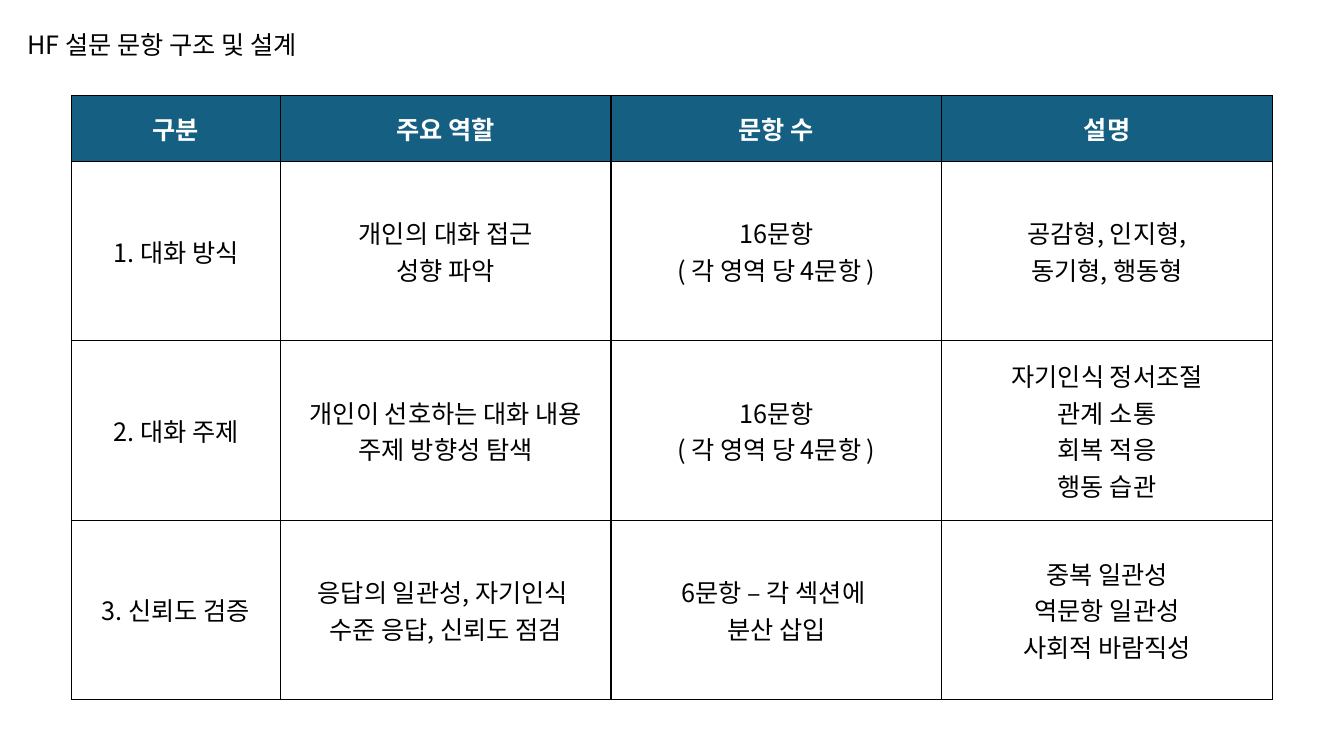
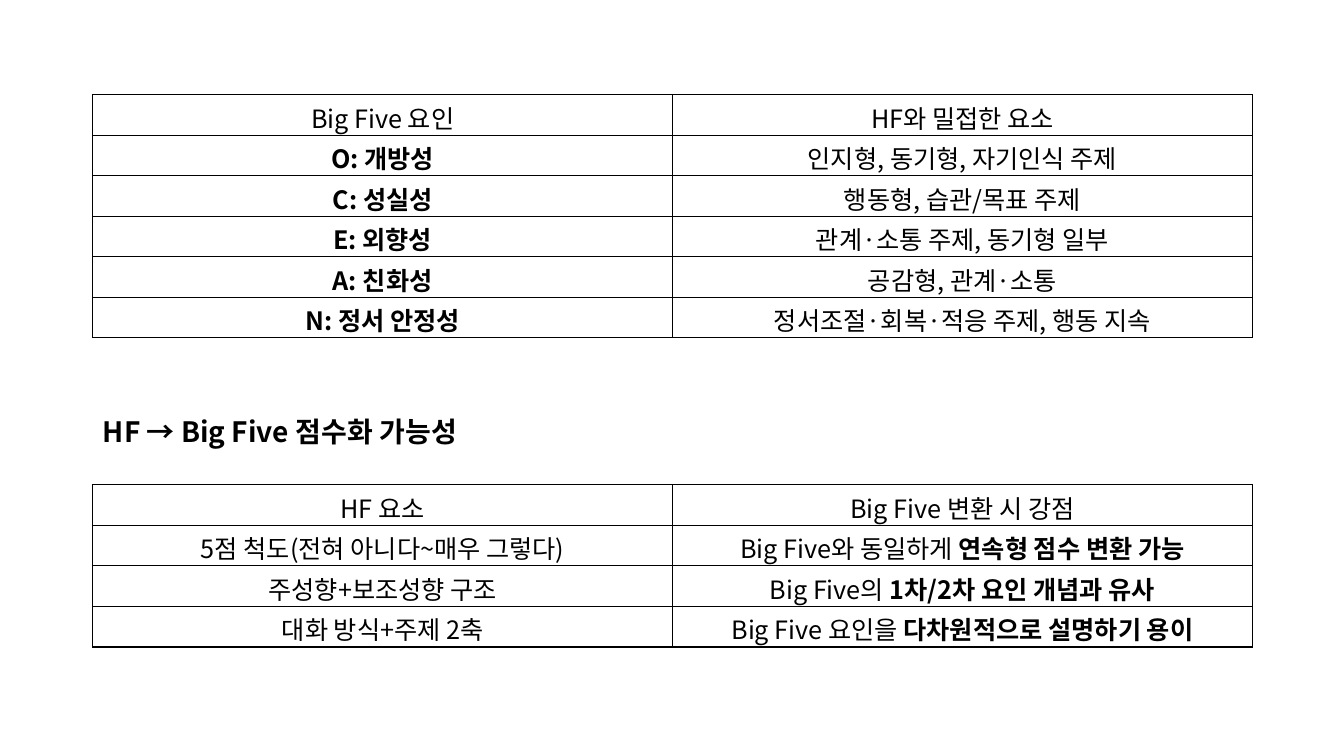
from lxml import etree
from pptx import Presentation
from pptx.dml.color import RGBColor
from pptx.enum.text import MSO_ANCHOR, MSO_AUTO_SIZE, PP_ALIGN
from pptx.oxml.ns import qn
from pptx.util import Inches, Pt

FONT = "Noto Sans CJK KR"
BODY_SIZE = 18
COLORS = {"text": "000000", "header_text": "FFFFFF", "header": "156082", "border": "000000"}

# A cell is a string (one paragraph per line) or a (plain, bold) pair.
SURVEY_TITLE = "HF 설문 문항 구조 및 설계"
SURVEY_ROWS = [
    ["구분", "주요 역할", "문항 수", "설명"],
    ["1. 대화 방식", "개인의 대화 접근\n성향 파악", "16문항\n( 각 영역 당 4문항 )",
     "공감형, 인지형,\n동기형, 행동형"],
    ["2. 대화 주제", "개인이 선호하는 대화 내용 주제 방향성 탐색", "16문항\n( 각 영역 당 4문항 )",
     "자기인식 정서조절\n관계 소통\n회복 적응\n행동 습관"],
    ["3. 신뢰도 검증", "응답의 일관성, 자기인식 \n수준 응답, 신뢰도 점검",
     "6문항 – 각 섹션에 \n분산 삽입", "중복 일관성\n역문항 일관성\n사회적 바람직성"],
]
FACTOR_ROWS = [
    ["Big Five 요인", "HF와 밀접한 요소"],
    [("", "O: 개방성"), "인지형, 동기형, 자기인식 주제"],
    [("", "C: 성실성"), "행동형, 습관/목표 주제"],
    [("", "E: 외향성"), "관계·소통 주제, 동기형 일부"],
    [("", "A: 친화성"), "공감형, 관계·소통"],
    [("", "N: 정서 안정성"), "정서조절·회복·적응 주제, 행동 지속"],
]
SCORING_TITLE = "HF → Big Five 점수화 가능성"
SCORING_ROWS = [
    ["HF 요소", "Big Five 변환 시 강점"],
    ["5점 척도(전혀 아니다~매우 그렇다)", ("Big Five와 동일하게 ", "연속형 점수 변환 가능")],
    ["주성향+보조성향 구조", ("Big Five의 ", "1차/2차 요인 개념과 유사")],
    ["대화 방식+주제 2축", ("Big Five 요인을 ", "다차원적으로 설명하기 용이")],
]
SURVEY_COLUMNS = [2.07] + [3.28] * 3
SURVEY_HEIGHTS = [0.65] + [1.78] * 3
PAIR_LEFT = 0.92
PAIR_COLUMNS = [5.75] * 2
PAIR_ROW_HEIGHT = 0.4
PAIR_MARGINS = (0.04, 0)


def add_run(paragraph, text, size=BODY_SIZE, color="text", bold=False):
    run = paragraph.add_run()
    run.text = text
    font = run.font
    font.name, font.size, font.bold = FONT, Pt(size), bold
    font.color.rgb = RGBColor.from_string(COLORS[color])
    east_asian = etree.SubElement(font._element, qn("a:ea"))
    east_asian.set("typeface", FONT)


def add_titled_slide(presentation, text, box, size=BODY_SIZE, bold=False):
    slide = presentation.slides.add_slide(presentation.slide_layouts[5])
    title = slide.shapes.title
    title.left, title.top, title.width, title.height = map(Inches, box)
    frame = title.text_frame
    frame.word_wrap = True
    frame.auto_size = MSO_AUTO_SIZE.NONE
    frame.vertical_anchor = MSO_ANCHOR.TOP
    paragraph = frame.paragraphs[0]
    paragraph.alignment = PP_ALIGN.LEFT
    add_run(paragraph, text, size, bold=bold)
    return slide


def add_borders(cell):
    properties = cell._tc.get_or_add_tcPr()
    for index, side in enumerate(("lnL", "lnR", "lnT", "lnB")):
        line = etree.Element(qn(f"a:{side}"), w=str(Pt(1)))
        fill = etree.SubElement(line, qn("a:solidFill"))
        etree.SubElement(fill, qn("a:srgbClr"), val=COLORS["border"])
        properties.insert(index, line)


def fill_cell(cell, content, is_header, margins):
    cell.vertical_anchor = MSO_ANCHOR.MIDDLE
    cell.margin_top, cell.margin_bottom = map(Inches, margins)
    if is_header:
        cell.fill.solid()
        cell.fill.fore_color.rgb = RGBColor.from_string(COLORS["header"])
    else:
        cell.fill.background()
    add_borders(cell)
    plain, bold = content if isinstance(content, tuple) else (content, "")
    frame = cell.text_frame
    for index, line in enumerate(plain.split("\n")):
        paragraph = frame.add_paragraph() if index else frame.paragraphs[0]
        paragraph.alignment = PP_ALIGN.CENTER
        if line:
            add_run(paragraph, line, color="header_text" if is_header else "text", bold=is_header)
    if bold:
        add_run(paragraph, bold, bold=True)


def add_grid(slide, rows, left, top, widths, heights, colored_header=False, margins=(0.05, 0.05)):
    table = slide.shapes.add_table(
        len(rows), len(widths), Inches(left), Inches(top),
        Inches(sum(widths)), Inches(sum(heights))).table
    table.first_row = table.horz_banding = False
    for column, width in zip(table.columns, widths):
        column.width = Inches(width)
    for row_index, (row, height) in enumerate(zip(rows, heights)):
        table.rows[row_index].height = Inches(height)
        for column_index, content in enumerate(row):
            fill_cell(table.cell(row_index, column_index), content,
                      colored_header and row_index == 0, margins)


def main():
    presentation = Presentation()
    presentation.slide_width, presentation.slide_height = Inches(13.33), Inches(7.5)

    survey = add_titled_slide(presentation, SURVEY_TITLE, (0.17, 0.24, 9.65, 0.71))
    add_grid(survey, SURVEY_ROWS, 0.71, 0.95, SURVEY_COLUMNS, SURVEY_HEIGHTS, colored_header=True)

    scoring = add_titled_slide(presentation, SCORING_TITLE, (PAIR_LEFT, 4.06, 6.67, 0.44),
                               size=20, bold=True)
    for rows, top in ((FACTOR_ROWS, 0.94), (SCORING_ROWS, 4.81)):
        add_grid(scoring, rows, PAIR_LEFT, top, PAIR_COLUMNS,
                 [PAIR_ROW_HEIGHT] * len(rows), margins=PAIR_MARGINS)

    presentation.save("out.pptx")


if __name__ == "__main__":
    main()
